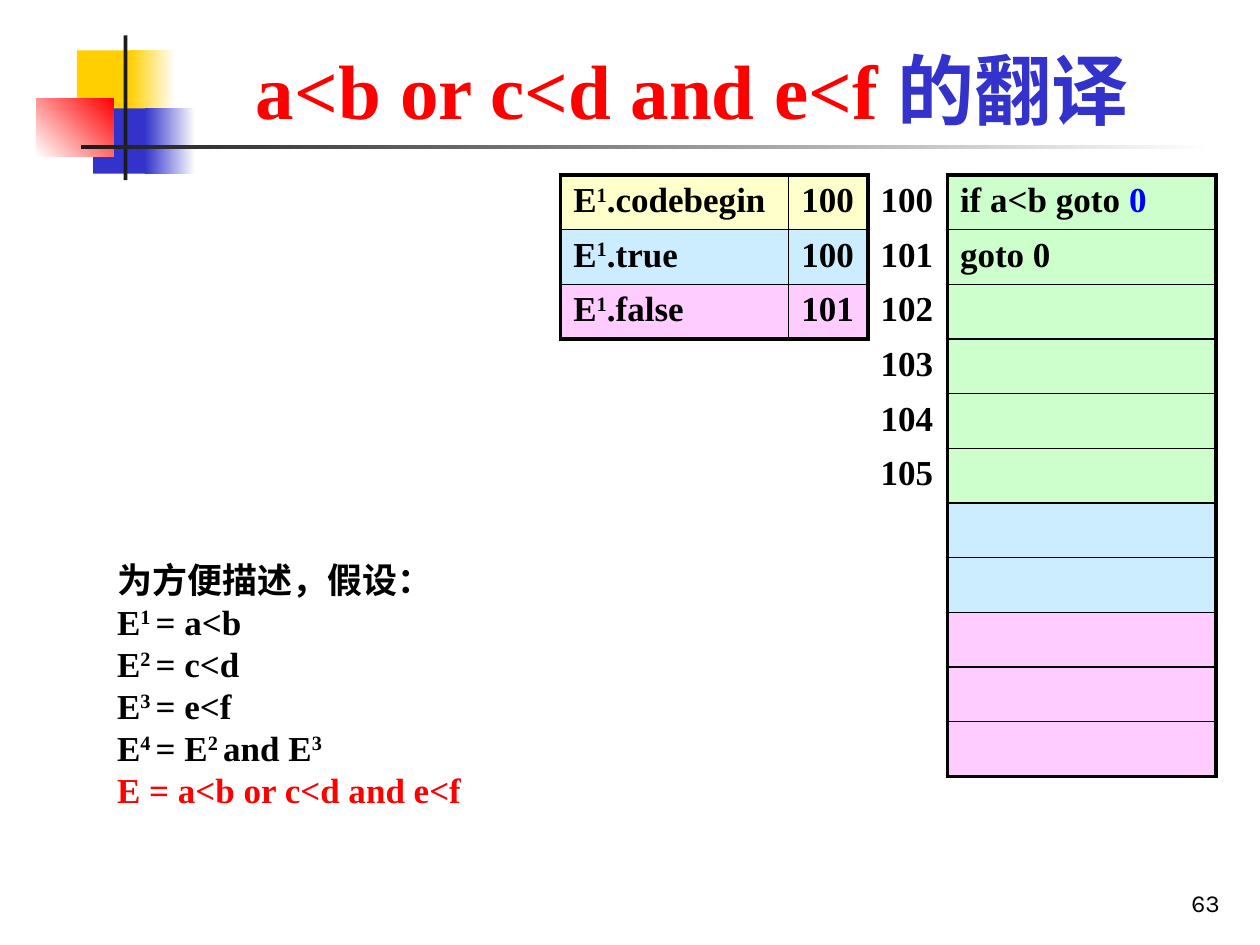
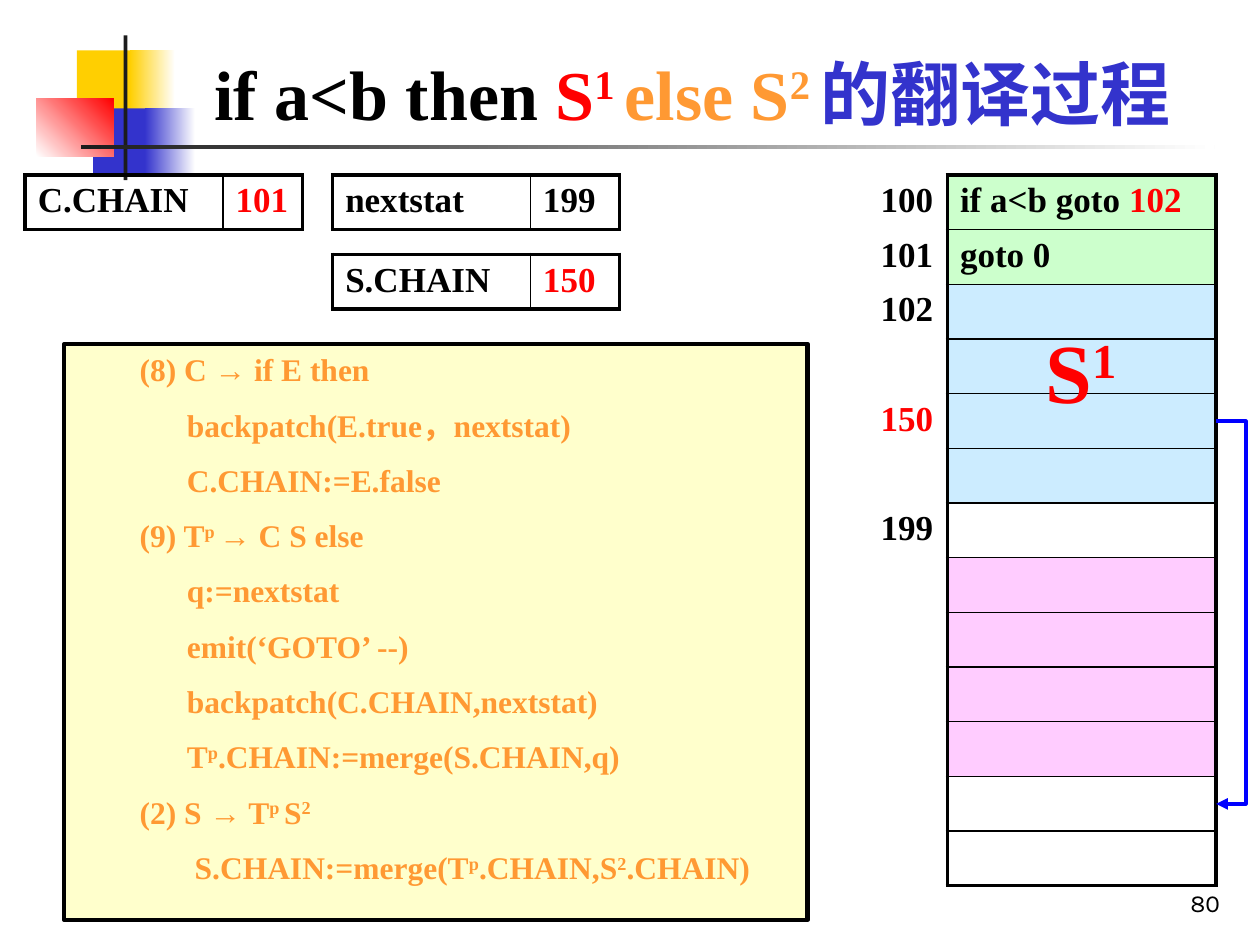
"""Two slides on translating boolean expressions and if-then-else with backpatching."""
from lxml import etree
from pptx import Presentation
from pptx.dml.color import RGBColor
from pptx.enum import shapes, text
from pptx.oxml import ns
from pptx.util import Pt

SERIF, SANS = "Times New Roman", "Karla"
BLACK, WHITE, INK, RED = "000000", "FFFFFF", "1C1C1C", "FF0000"
BLUE, INDIGO, GOLD, ORANGE = "0000FF", "3333CC", "FFCF01", "FF9933"
GREEN, SKY, PINK, CREAM = "CCFFCC", "CCECFF", "FFCCFF", "FFFFCC"
NO_STYLE_NO_GRID = "{2D5ABB26-0587-4C30-8999-92F81FD0307C}"

MOTIF = [
    ((43.9, 28.8, 34.6, 37.4), [GOLD], 0),
    ((74.2, 28.8, 25.9, 37.4), [GOLD, WHITE], 0),
    ((53.3, 61.9, 33.1, 37.4), [INDIGO], 0),
    ((82.8, 61.9, 28.8, 37.4), [INDIGO, WHITE], 0),
    ((20.9, 56.2, 43.9, 33.1), [WHITE, RED], 45),
    ((70.6, 20.2, 2.2, 82.8), [INK], 0),
    ((46.1, 82.8, 648, 2.2), [INK, WHITE], 0),
]
TITLE_BOX = (87.8, 25.9, 615.6, 54.7)
NUMBER_BOX = (554.4, 491.8, 149.8, 36)

ROW, TABLE_TOP = 31.25, 100
MEMORY_LEFT, MEMORY_COLS = 496, (45.4, 153.4)

OR_TITLE = [("a<b or c<d and e<f ", RED), ("的翻译", INDIGO)]
OR_ADDRESSES = [[(str(n), BLACK)] for n in range(100, 106)]
OR_CODE = [[("if a<b goto ", BLACK), ("0", BLUE)], [("goto 0", BLACK)]]
OR_FILLS = [GREEN] * 6 + [SKY] * 2 + [PINK] * 3
ATTRIBUTES = [("E^1^.codebegin", "100", CREAM), ("E^1^.true", "100", SKY), ("E^1^.false", "101", PINK)]
ASSUMPTIONS = [
    ("为方便描述，假设：", BLACK),
    ("E^1 ^= a<b", BLACK),
    ("E^2 ^= c<d", BLACK),
    ("E^3 ^= e<f", BLACK),
    ("E^4 ^= E^2 ^and E^3", BLACK),
    ("E = a<b or c<d and e<f", RED),
]

IF_TITLE = [("if a<b then ", BLACK), ("S^1 ^", RED), ("else S^2 ^", ORANGE), ("的翻译过程", INDIGO)]
IF_ADDRESSES = [[("100", BLACK)], [("101", BLACK)], [("102", BLACK)], [],
                [("150", RED)], [], [("199", BLACK)]]
IF_CODE = [[("if a<b goto ", BLACK), ("102", RED)], [("goto 0", BLACK)]]
IF_FILLS = [GREEN] * 2 + [SKY] * 4 + [WHITE] + [PINK] * 4 + [WHITE] * 2
REGISTERS = [
    (14.4, TABLE_TOP, (113, 45.4), "C.CHAIN", "101", RED),
    (190.1, TABLE_TOP, (113, 51.1), "nextstat", "199", BLACK),
    (190.1, 145.4, (113, 51.1), "S.CHAIN", "150", RED),
]
PRODUCTION, ACTION, LAST_ACTION = 36, 63, 67.5
RULES = [
    (PRODUCTION, "(8) C → if E then"),
    (ACTION, "backpatch(E.true，nextstat)"),
    (ACTION, "C.CHAIN:=E.false"),
    (PRODUCTION, "(9) T^p ^→ C S else"),
    (ACTION, "q:=nextstat"),
    (ACTION, "emit(‘GOTO’ --)"),
    (ACTION, "backpatch(C.CHAIN,nextstat)"),
    (ACTION, "T^p^.CHAIN:=merge(S.CHAIN,q)"),
    (PRODUCTION, "(2) S → T^p ^S^2^"),
    (LAST_ACTION, "S.CHAIN:=merge(T^p^.CHAIN,S^2^.CHAIN)"),
]


def colour(hex_string):
    return RGBColor.from_string(hex_string)


def points(values):
    return [Pt(value) for value in values]


def write(paragraph, runs, size, font=SERIF, bold=True, align=text.PP_ALIGN.LEFT):
    paragraph.alignment = align
    for markup, ink in runs:
        for i, part in enumerate(markup.split("^")):
            if not part:
                continue
            run = paragraph.add_run()
            run.text = part
            run.font.name, run.font.size, run.font.bold = font, Pt(size), bold
            run.font.color.rgb = colour(ink)
            if i % 2:
                run._r.get_or_add_rPr().set("baseline", "30000")


def paragraphs(frame, count):
    return [frame.paragraphs[0]] + [frame.add_paragraph() for _ in range(count - 1)]


def add_text(slide, box, lines, size, anchor=text.MSO_ANCHOR.TOP, **style):
    frame = slide.shapes.add_textbox(*points(box)).text_frame
    frame.word_wrap, frame.vertical_anchor = True, anchor
    for paragraph, runs in zip(paragraphs(frame, len(lines)), lines):
        write(paragraph, runs, size, **style)


def add_rect(slide, box, tones, angle=0):
    rect = slide.shapes.add_shape(shapes.MSO_SHAPE.RECTANGLE, *points(box))
    rect.shadow.inherit = False
    rect.line.fill.background()
    if len(tones) == 1:
        rect.fill.solid()
        rect.fill.fore_color.rgb = colour(tones[0])
    else:
        rect.fill.gradient()
        rect.fill.gradient_angle = angle
        for stop, tone, position in zip(rect.fill.gradient_stops, tones, (0, 1)):
            stop.color.rgb, stop.position = colour(tone), position
    return rect


def add_border(cell, side, width):
    line = etree.SubElement(cell._tc.get_or_add_tcPr(), ns.qn("a:ln" + side), w=str(Pt(width)))
    solid = etree.SubElement(line, ns.qn("a:solidFill"))
    etree.SubElement(solid, ns.qn("a:srgbClr"), val=BLACK)


def add_grid(slide, left, top, widths, rows, framed_from=0):
    """Draw rows of (runs, fill) cells, framed from the given column on."""
    height, last_row, last_col = ROW * len(rows), len(rows) - 1, len(widths) - 1
    frame = slide.shapes.add_table(len(rows), len(widths), *points((left, top, sum(widths), height)))
    table = frame.table
    table._tbl.tblPr[0].text = NO_STYLE_NO_GRID
    table.first_row = table.horz_banding = False
    for column, width in zip(table.columns, widths):
        column.width = Pt(width)
    for r, row in enumerate(rows):
        table.rows[r].height = Pt(ROW)
        for c, (runs, fill) in enumerate(row):
            cell = table.cell(r, c)
            write(cell.text_frame.paragraphs[0], runs, 20)
            if c >= framed_from:
                outer = {"L": c == framed_from, "R": c == last_col, "T": r == 0, "B": r == last_row}
                for side, is_outer in outer.items():
                    add_border(cell, side, 2.25 if is_outer else 1)
            elif c == framed_from - 1:
                add_border(cell, "R", 2.25)
            if fill:
                cell.fill.solid()
                cell.fill.fore_color.rgb = colour(fill)
            else:
                cell.fill.background()


def add_memory(slide, addresses, code, fills):
    rows = []
    for i, fill in enumerate(fills):
        address = addresses[i] if i < len(addresses) else []
        instruction = code[i] if i < len(code) else []
        rows.append([(address, WHITE), (instruction, fill)])
    add_grid(slide, MEMORY_LEFT, TABLE_TOP, MEMORY_COLS, rows, framed_from=1)


def add_jump(slide, from_row, to_row):
    edge, sliver, reach = MEMORY_LEFT + sum(MEMORY_COLS), 0.12, 18
    start, end = (TABLE_TOP + ROW * (row + 0.5) for row in (from_row, to_row))
    jump = slide.shapes.add_connector(shapes.MSO_CONNECTOR.ELBOW, *points((edge, start, edge + sliver, end)))
    jump.line.color.rgb, jump.line.width = colour(BLUE), Pt(2.25)
    properties = jump._element.spPr
    guides = properties.find(ns.qn("a:prstGeom")).get_or_add_avLst()
    bend = round(reach / sliver * 100000)
    etree.SubElement(guides, ns.qn("a:gd"), name="adj1", fmla=f"val {bend}")
    etree.SubElement(jump.line._get_or_add_ln(), ns.qn("a:tailEnd"), type="triangle")
    etree.SubElement(properties, ns.qn("a:effectLst"))


def add_rules(slide):
    panel = add_rect(slide, (36.7, 196.6, 424.8, 329), [CREAM])
    panel.line.color.rgb, panel.line.width = colour(BLACK), Pt(2.5)
    frame = panel.text_frame
    frame.word_wrap, frame.vertical_anchor = True, text.MSO_ANCHOR.TOP
    for i, (paragraph, (indent, rule)) in enumerate(zip(paragraphs(frame, len(RULES)), RULES)):
        paragraph._p.get_or_add_pPr().set("marL", str(Pt(indent)))
        if i:
            paragraph.space_before = Pt(10)
        write(paragraph, [(rule, ORANGE)], 18)


def add_slide(deck, title, title_size, number):
    slide = deck.slides.add_slide(deck.slide_layouts[6])
    for box, tones, angle in MOTIF:
        add_rect(slide, box, tones, angle)
    bottom = text.MSO_ANCHOR.BOTTOM
    add_text(slide, NUMBER_BOX, [[(number, BLACK)]], 14, bottom,
             font=SANS, bold=False, align=text.PP_ALIGN.RIGHT)
    add_text(slide, TITLE_BOX, [title], title_size, bottom, align=text.PP_ALIGN.CENTER)
    return slide


def main():
    deck = Presentation()
    deck.slide_width, deck.slide_height = Pt(720), Pt(540)

    slide = add_slide(deck, OR_TITLE, 44, "63")
    add_memory(slide, OR_ADDRESSES, OR_CODE, OR_FILLS)
    attributes = [[([(name, BLACK)], fill), ([(value, BLACK)], fill)] for name, value, fill in ATTRIBUTES]
    add_grid(slide, 320.4, TABLE_TOP, (130.3, 45.4), attributes)
    add_text(slide, (59.8, 315.4, 254.9, 152.6), [[line] for line in ASSUMPTIONS], 20)

    slide = add_slide(deck, IF_TITLE, 40, "80")
    add_rules(slide)
    add_memory(slide, IF_ADDRESSES, IF_CODE, IF_FILLS)
    for left, top, widths, name, value, ink in REGISTERS:
        add_grid(slide, left, top, widths, [[([(name, BLACK)], None), ([(value, ink)], None)]])
    add_text(slide, (581, 179.3, 73.4, 64.8), [[("S^1^", RED)]], 48, align=text.PP_ALIGN.CENTER)
    add_jump(slide, 4, 11)

    deck.save("out.pptx")


if __name__ == "__main__":
    main()
